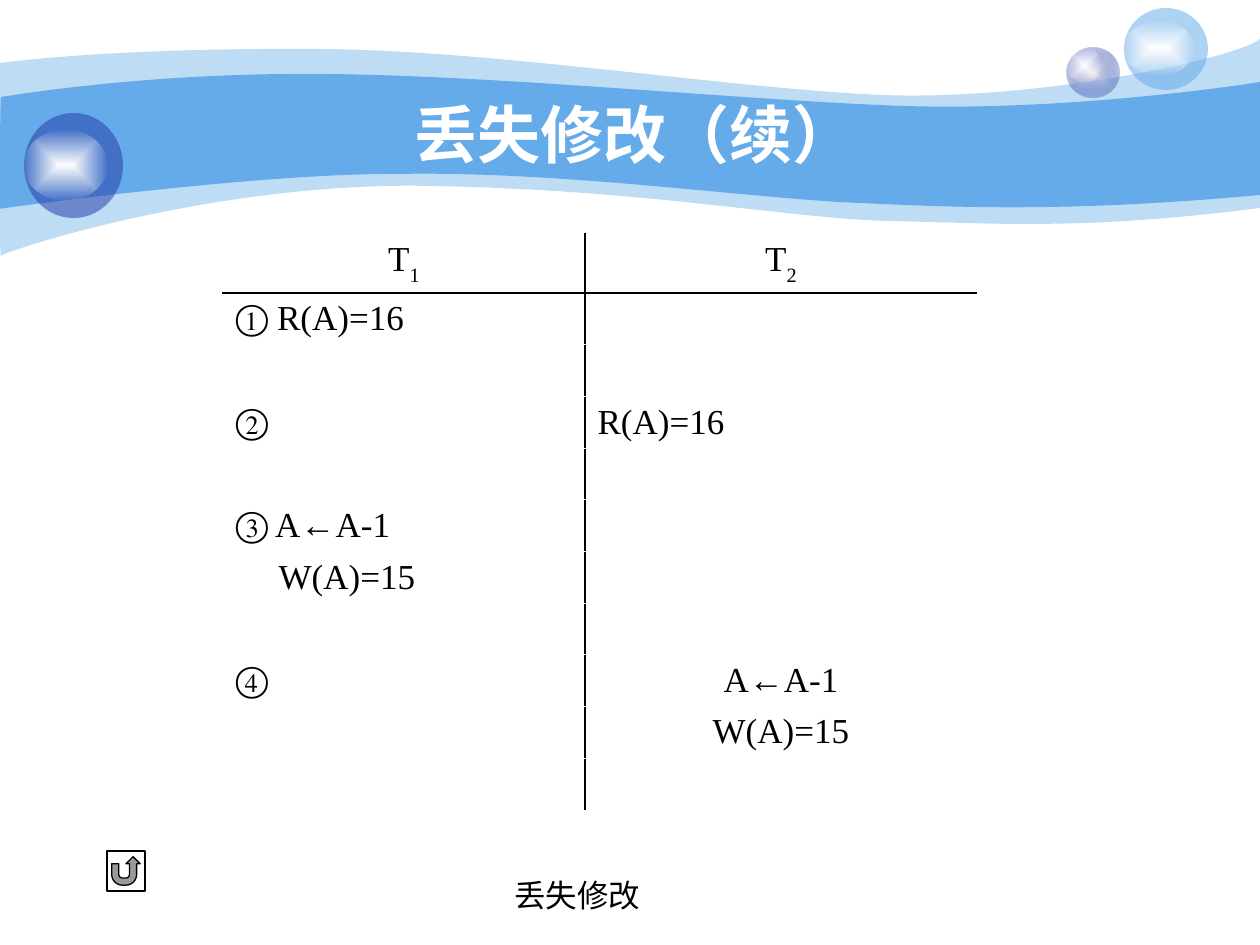
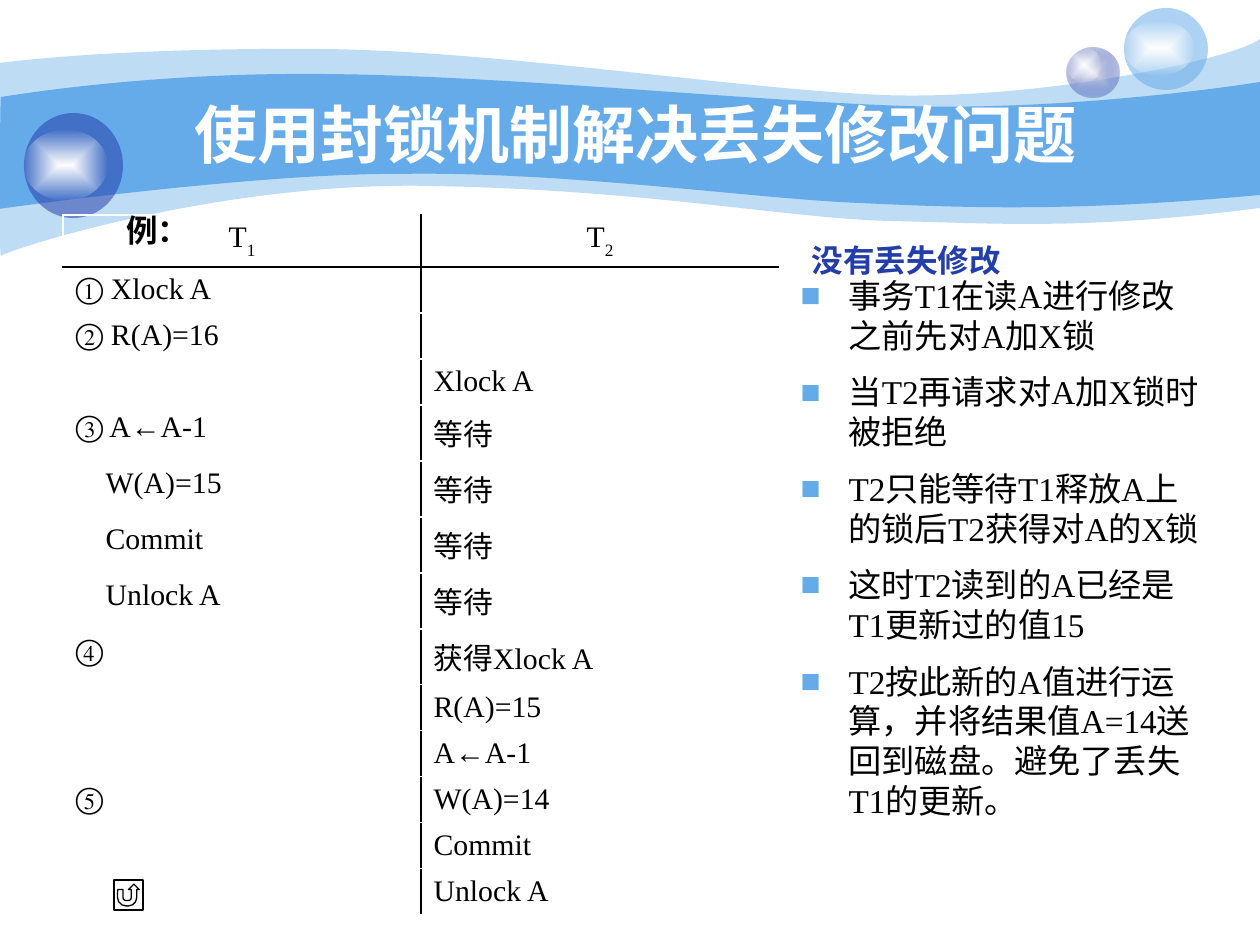
from lxml.etree import SubElement
from pptx import Presentation
from pptx.dml.color import RGBColor
from pptx.enum.shapes import MSO_SHAPE
from pptx.enum.text import MSO_ANCHOR, MSO_AUTO_SIZE, PP_ALIGN
from pptx.oxml import parse_xml
from pptx.oxml.ns import nsdecls, qn
from pptx.util import Emu, Pt

SCALE = 914400 / 126
SKY = RGBColor(0x65, 0xAA, 0xE9)
NAVY = RGBColor(0x23, 0x3D, 0xA9)
PEARL = RGBColor(0xE1, 0xE2, 0xED)
WHITE = RGBColor(0xFF, 0xFF, 0xFF)
BLACK = RGBColor(0, 0, 0)
SERIF = {"name": "Times New Roman", "size": Pt(18)}
HEAD = {"name": "Arial", "size": Pt(36), "bold": True}
PLAIN = "{2D5ABB26-0587-4C30-8999-92F81FD0307C}"
STEPS = "①②③④⑤"

PALE_WAVE = (
    [(0, 63), (30, 59), (135, 48), (311, 49), (486, 49), (725, 88), (881, 95),
     (1036, 101), (1235, 59), (1260, 39)],
    [(1260, 208), (1081, 231), (992, 223), (888, 221), (784, 218), (649, 190),
     (432, 186), (217, 181), (5, 251), (1, 256), (-1, 262), (0, 95), (0, 63)])
DEEP_WAVE = (
    [(1, 97), (3, 97), (139, 73), (312, 74), (486, 74), (750, 101), (905, 106),
     (1060, 111), (1230, 87), (1260, 82)],
    [(1260, 195), (1075, 212), (964, 208), (859, 203), (755, 199), (563, 171),
     (399, 174), (256, 173), (-3, 209), (-1, 209), (0, 209), (0, 97), (1, 97)])

LOST = [
    ("T1", "T2"), ("① R(A)=16", ""), ("", ""), ("②", "R(A)=16"), ("", ""),
    ("③ A←A-1", ""), ("W(A)=15", ""), ("", ""), ("④", "A←A-1"),
    ("", "W(A)=15"), ("", "")]
LOCKED = [
    ("T1", "T2"), ("① Xlock A", ""), ("② R(A)=16", ""), ("", "Xlock A"),
    ("③ A←A-1", "等待"), ("W(A)=15", "等待"), ("Commit", "等待"),
    ("Unlock A", "等待"), ("④", "获得Xlock A"), ("", "R(A)=15"),
    ("", "A←A-1"), ("⑤", "W(A)=14"), ("", "Commit"), ("", "Unlock A")]
NOTES = [
    "事务T1在读A进行修改之前先对A加X锁",
    "当T2再请求对A加X锁时被拒绝",
    "T2只能等待T1释放A上的锁后T2获得对A的X锁",
    "这时T2读到的A已经是T1更新过的值15",
    "T2按此新的A值进行运算，并将结果值A=14送回到磁盘。避免了丢失T1的更新。"]


def px(value):
    return Emu(round(value * SCALE))


def dress(item, values):
    for key, value in values.items():
        setattr(item, key, value)


def place(shape, box):
    dress(shape, dict(zip(("left", "top", "width", "height"), map(px, box))))


def share(total, count):
    return [total * (i + 1) // count - total * i // count for i in range(count)]


def write(para, text, color, style):
    run = para.add_run()
    run.text = text
    dress(run.font, style)
    run.font.color.rgb = color
    return run


def indent(para, left, first):
    props = para._p.get_or_add_pPr()
    props.set("marL", str(px(left)))
    props.set("indent", str(px(first)))
    return props


def tint(shape, color, alpha=100):
    shape.shadow.inherit = False
    shape.line.fill.background()
    shape.fill.solid()
    shape.fill.fore_color.rgb = color
    if alpha < 100:
        tone = next(shape.element.spPr.iter(qn("a:srgbClr")))
        SubElement(tone, qn("a:alpha")).set("val", str(alpha * 1000))


def glow(shape, inner, outer, alpha):
    tint(shape, inner)
    spot = parse_xml(
        f'<a:gradFill {nsdecls("a")} rotWithShape="1"><a:gsLst>'
        f'<a:gs pos="0"><a:srgbClr val="{inner}"/></a:gs>'
        f'<a:gs pos="100000"><a:srgbClr val="{outer}">'
        f'<a:alpha val="{alpha * 1000}"/></a:srgbClr></a:gs></a:gsLst>'
        '<a:path path="shape"><a:fillToRect l="50000" t="50000" r="50000" '
        'b="50000"/></a:path></a:gradFill>')
    props = shape.element.spPr
    props.replace(props.find(qn("a:solidFill")), spot)


def bend(lines):
    for start in range(0, len(lines), 3):
        trio = lines[start:start + 3]
        arc = parse_xml(f'<a:cubicBezTo {nsdecls("a")}/>')
        trio[0].addprevious(arc)
        for line in trio:
            arc.append(line[0])
            line.getparent().remove(line)


def wave(shapes, edges, alpha):
    first, *rest = [(px(x), px(y)) for edge in edges for x, y in edge]
    pen = shapes.build_freeform(*first)
    pen.add_line_segments(rest, close=False)
    form = pen.convert_to_shape()
    lines = list(form.element.iter(qn("a:lnTo")))
    turn = len(edges[0]) - 1
    SubElement(lines[0].getparent(), qn("a:close"))
    bend(lines[:turn])
    bend(lines[turn + 1:])
    tint(form, SKY, alpha)
    return form


def pair(shapes, body, gleam):
    group = shapes.add_group_shape()
    orb, shine = [group.shapes.add_shape(MSO_SHAPE.OVAL, *map(px, box))
                  for box in (body, gleam)]
    glow(shine, WHITE, WHITE, 0)
    return group, orb


def backdrop(slide, master):
    shapes = slide.shapes
    parts = [wave(shapes, PALE_WAVE, 41), wave(shapes, DEEP_WAVE, 100)]
    group, orb = pair(shapes, (1067, 48, 53, 50), (1067, 48, 35, 34))
    glow(orb, PEARL, NAVY, 31)
    parts.append(group)
    for color, body, gleam in (
            (SKY, (1124, 8, 84, 82), (1124, 21, 70, 54)),
            (NAVY, (24, 113, 99, 105), (24, 130, 83, 70))):
        group, orb = pair(shapes, body, gleam)
        tint(orb, color, 53)
        parts.append(group)
    mark = 20
    for spot, part in enumerate(parts, 2):
        for label in part.element.iter(qn("p:cNvPr")):
            label.set("id", str(mark))
            mark += 1
        master.shapes.element.insert(spot, part.element)


def title(slide, text):
    shape = slide.shapes.title
    place(shape, (126, 94, 1018, 78))
    frame = shape.text_frame
    dress(frame, {"vertical_anchor": MSO_ANCHOR.MIDDLE, "word_wrap": True,
                  "auto_size": MSO_AUTO_SIZE.NONE})
    para = frame.paragraphs[0]
    para.alignment = PP_ALIGN.CENTER
    write(para, text, WHITE, HEAD)


def border(cell, row, col):
    top = BLACK if row == 1 else WHITE
    base = BLACK if row == 0 else WHITE
    sides = {"L": BLACK if col else WHITE, "R": None if col else BLACK,
             "T": top, "B": base}
    cell.fill.background()
    props = cell._tc.get_or_add_tcPr()
    lines = [parse_xml(
        f'<a:ln{side} {nsdecls("a")} w="12700"><a:solidFill>'
        f'<a:srgbClr val="{color}"/></a:solidFill></a:ln{side}>')
        for side, color in sides.items() if color is not None]
    for spot, line in enumerate(lines):
        props.insert(spot, line)


def enter(cell, text, row, col, style, inset, mid):
    para = cell.text_frame.paragraphs[0]
    if not text:
        dress(cell, {"margin_top": 0, "margin_bottom": 0})
    elif row == 0:
        write(para, text[0], BLACK, style)
        low = write(para, text[1], BLACK, style)
        low._r.get_or_add_rPr().set("baseline", "-30000")
    else:
        write(para, text, BLACK, style)
        if col == 0 and text[0] not in STEPS:
            indent(para, inset, 0)
    if row == 0 or col and row in mid:
        para.alignment = PP_ALIGN.CENTER


def schedule(slide, box, rows, widths, heights, size, inset, mid=()):
    frame = slide.shapes.add_table(len(rows), 2, *map(px, box))
    table = frame.table
    dress(table, {"first_row": False, "horz_banding": False})
    next(frame.element.iter(qn("a:tableStyleId"))).text = PLAIN
    for column, width in zip(table.columns, widths):
        column.width = px(width)
    style = {**SERIF, "size": Pt(size)}
    for row, texts in enumerate(rows):
        table.rows[row].height = px(heights[row])
        for col, text in enumerate(texts):
            cell = table.cell(row, col)
            enter(cell, text, row, col, style, inset, mid)
            border(cell, row, col)


def label(slide, box, text, color=BLACK, bold=False):
    frame = slide.shapes.add_textbox(*map(px, box)).text_frame
    dress(frame, {"word_wrap": False, "auto_size": MSO_AUTO_SIZE.SHAPE_TO_FIT_TEXT})
    para = frame.paragraphs[0]
    dress(para, {"alignment": PP_ALIGN.CENTER, "line_spacing": 1.8})
    write(para, text, color, {**SERIF, "bold": bold})


def notes(slide, box):
    shape = slide.placeholders[1]
    place(shape, box)
    frame = shape.text_frame
    dress(frame, {"word_wrap": True, "auto_size": MSO_AUTO_SIZE.NONE,
                  "vertical_anchor": MSO_ANCHOR.TOP})
    for index, text in enumerate(NOTES):
        para = frame.add_paragraph() if index else frame.paragraphs[0]
        props = indent(para, 48, -48)
        tone = SubElement(SubElement(props, qn("a:buClr")), qn("a:srgbClr"))
        tone.set("val", str(SKY))
        SubElement(props, qn("a:buChar")).set("char", "■")
        para.space_before = Pt(9.5 if index else 0)
        write(para, text, BLACK, {**SERIF, "size": Pt(19)})


def button(slide, box, solid):
    shape = slide.shapes.add_shape(MSO_SHAPE.ACTION_BUTTON_RETURN, *map(px, box))
    tint(shape, WHITE)
    if not solid:
        shape.fill.background()
    shape.line.color.rgb = BLACK
    shape.line.width = Pt(0.75)


def lost_slide(deck):
    slide = deck.slides.add_slide(deck.slide_layouts[5])
    backdrop(slide, deck.slide_master)
    title(slide, "丢失修改（续）")
    schedule(slide, (223, 234, 754, 576), LOST, (362, 392),
             [59] + share(517, 10), 20, 43, (8, 9))
    label(slide, (502, 840, 151, 50), "丢失修改")
    button(slide, (107, 851, 38, 40), True)


def locked_slide(deck):
    slide = deck.slides.add_slide(deck.slide_layouts[1])
    title(slide, "使用封锁机制解决丢失修改问题")
    schedule(slide, (63, 215, 716, 700), LOCKED, (358, 358),
             [52] + [46] * 3 + [56] * 5 + [46] * 5, 17, 30)
    label(slide, (114, 175, 88, 50), "例：", bold=True)
    notes(slide, (788, 269, 427, 577))
    label(slide, (799, 205, 215, 50), "没有丢失修改", NAVY, True)
    button(slide, (114, 880, 29, 30), False)


def main():
    deck = Presentation()
    dress(deck, {"slide_width": px(1260), "slide_height": px(945)})
    lost_slide(deck)
    locked_slide(deck)
    deck.save("out.pptx")


if __name__ == "__main__":
    main()
